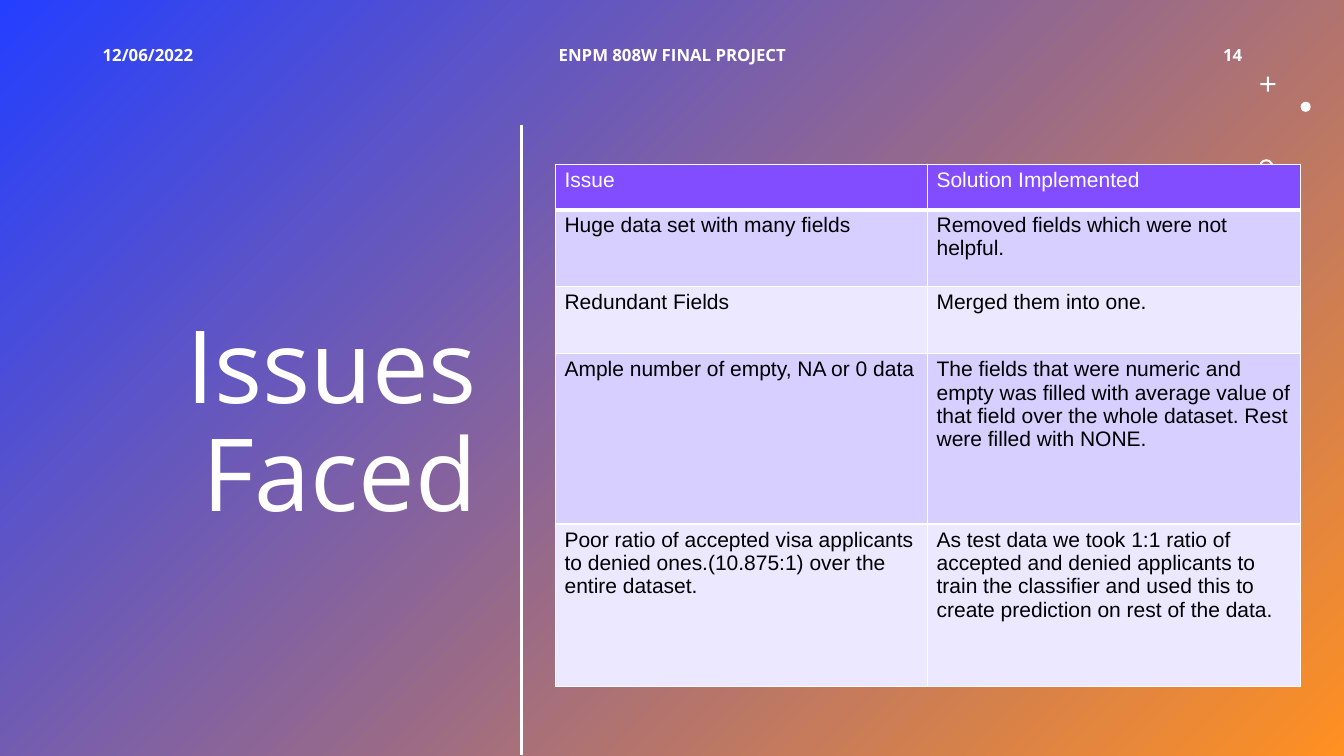
"""Build the "Issues Faced" slide with its table of issues and solutions."""
from dataclasses import dataclass

from lxml import etree
from pptx import Presentation
from pptx.dml.color import RGBColor as Rgb
from pptx.enum.shapes import MSO_CONNECTOR as Connector, MSO_SHAPE as Preset
from pptx.enum.text import MSO_ANCHOR as Anchor, MSO_AUTO_SIZE as AutoSize, PP_ALIGN as Align
from pptx.oxml.ns import qn
from pptx.util import Inches, Pt


@dataclass(frozen=True)
class Theme:
    """Colours, fonts and type sizes of the slide."""
    white: Rgb = Rgb.from_string("FFFFFF")
    black: Rgb = Rgb.from_string("000000")
    blue: Rgb = Rgb.from_string("243FFF")
    orange: Rgb = Rgb.from_string("FF9022")
    header: Rgb = Rgb.from_string("814DFF")
    bands: tuple = (Rgb.from_string("ECE8FF"), Rgb.from_string("D7CFFF"))
    heading_font: str = "Open Sans"
    table_font: str = "Arial"
    title_size: int = 72
    strip_size: int = 12
    table_size: int = 15


THEME = Theme()
SLIDE_SIZE = (13.33, 7.5)
TABLE_BOX = (5.51, 1.63, 7.39, 5.18)
COLUMN_WIDTHS = (3.69, 3.7)
ROW_HEIGHTS = (0.45, 0.76, 0.67, 1.69, 1.61)
ISSUES = (
    ("Issue", "Solution Implemented"),
    ("Huge data set with many fields", "Removed fields which were not helpful."),
    ("Redundant Fields", "Merged them into one."),
    ("Ample number of empty, NA or 0 data",
     "The fields that were numeric and empty was filled with average value of that field "
     "over the whole dataset. Rest were filled with NONE."),
    ("Poor ratio of accepted visa applicants to denied ones.(10.875:1) over the entire dataset.",
     "As test data we took 1:1 ratio of accepted and denied applicants to train the classifier "
     "and used this to create prediction on rest of the data."),
)
STRIP = (
    ("12/06/2022", 0.92, 3, Align.LEFT),
    ("ENPM 808W FINAL PROJECT", 4.42, 4.5, Align.CENTER),
    ("14", 9.42, 3, Align.RIGHT),
)
ORNAMENTS = (
    (Preset.CROSS, 12.5, 0.76, 0.15, 0.43),
    (Preset.OVAL, 12.9, 1.01, 0.1, None),
    (Preset.DONUT, 12.49, 1.58, 0.14, 0.14),
)


def inches(*lengths):
    """Convert plain numbers to lengths."""
    return [Inches(length) for length in lengths]


def apply(target, formats):
    """Set each attribute named in the formats on the target."""
    for name, value in formats.items():
        setattr(target, name, value)


def write(frame, text, color, font, size, bold=False, **paragraph_formats):
    """Write one formatted paragraph into a text frame."""
    frame.word_wrap = True
    paragraph = frame.paragraphs[0]
    apply(paragraph, paragraph_formats)
    run = paragraph.add_run()
    run.text = text
    apply(run.font, {"name": font, "size": Pt(size), "bold": bold})
    run.font.color.rgb = color


def add_backdrop(slide):
    """Cover the slide with the diagonal gradient."""
    backdrop = slide.shapes.add_shape(Preset.RECTANGLE, *inches(0, 0, *SLIDE_SIZE))
    backdrop.shadow.inherit = False
    backdrop.line.fill.background()
    backdrop.fill.gradient()
    backdrop.fill.gradient_angle = 315
    for stop, color in zip(backdrop.fill.gradient_stops, (THEME.blue, THEME.orange)):
        stop.color.rgb = color
    slide.shapes._spTree.insert(2, backdrop._element)


def set_title(slide, text):
    """Place and format the title placeholder."""
    title = slide.shapes.title
    left, top, width, height = inches(0.52, 1.16, 4.31, 6.11)
    apply(title, {"left": left, "top": top, "width": width, "height": height})
    apply(title.text_frame, {"vertical_anchor": Anchor.MIDDLE, "auto_size": AutoSize.NONE})
    write(title.text_frame, text, THEME.white, THEME.heading_font, THEME.title_size,
          alignment=Align.RIGHT, line_spacing=0.9)


def add_strip_text(slide, text, left, width, alignment):
    """Add one bold entry to the strip along the top."""
    frame = slide.shapes.add_textbox(*inches(left, 0.34, width, 0.4)).text_frame
    frame.vertical_anchor = Anchor.MIDDLE
    write(frame, text, THEME.white, THEME.heading_font, THEME.strip_size, True,
          alignment=alignment)


def add_ornament(slide, preset, left, top, size, adjustment):
    """Add one small white ornament."""
    ornament = slide.shapes.add_shape(preset, *inches(left, top, size, size))
    ornament.shadow.inherit = False
    ornament.fill.solid()
    ornament.fill.fore_color.rgb = THEME.white
    ornament.line.fill.background()
    if adjustment is not None:
        ornament.adjustments[0] = adjustment


def add_divider(slide):
    """Draw the vertical rule between title and table."""
    divider = slide.shapes.add_connector(Connector.STRAIGHT, *inches(5.17, 1.24, 5.17, 7.49))
    divider.line.color.rgb = THEME.white
    divider.line.width = Pt(2)
    etree.SubElement(divider._element.spPr, qn("a:effectLst"))


def set_borders(cell, widths):
    """Give a cell white borders, with widths keyed by side."""
    properties = cell._tc.get_or_add_tcPr()
    for position, (side, width) in enumerate(widths.items()):
        border = etree.Element(qn(f"a:ln{side}"), w=str(Pt(width)))
        fill = etree.SubElement(border, qn("a:solidFill"))
        etree.SubElement(fill, qn("a:srgbClr"), val=str(THEME.white))
        properties.insert(position, border)


def fill_cell(cell, text, row):
    """Fill, frame and write one table cell."""
    side, edge = inches(0.09, 0.04)
    apply(cell, {"margin_left": side, "margin_right": side,
                 "margin_top": edge, "margin_bottom": edge})
    cell.fill.solid()
    cell.fill.fore_color.rgb = THEME.bands[row % 2] if row else THEME.header
    set_borders(cell, {"L": 1, "R": 1, "T": 3 if row == 1 else 1, "B": 1 if row else 3})
    write(cell.text_frame, text, THEME.black if row else THEME.white,
          THEME.table_font, THEME.table_size)


def add_issue_table(slide):
    """Add the table of issues and their solutions."""
    table = slide.shapes.add_table(len(ISSUES), len(COLUMN_WIDTHS), *inches(*TABLE_BOX)).table
    for column, width in zip(table.columns, COLUMN_WIDTHS):
        column.width = Inches(width)
    for row, (height, texts) in enumerate(zip(ROW_HEIGHTS, ISSUES)):
        table.rows[row].height = Inches(height)
        for column, text in enumerate(texts):
            fill_cell(table.cell(row, column), text, row)


def main():
    """Build and save the slide."""
    deck = Presentation()
    deck.slide_width, deck.slide_height = inches(*SLIDE_SIZE)
    slide = deck.slides.add_slide(deck.slide_layouts[5])
    add_backdrop(slide)
    set_title(slide, "Issues Faced")
    for entry in STRIP:
        add_strip_text(slide, *entry)
    for ornament in ORNAMENTS:
        add_ornament(slide, *ornament)
    add_divider(slide)
    add_issue_table(slide)
    deck.save("out.pptx")


if __name__ == "__main__":
    main()
